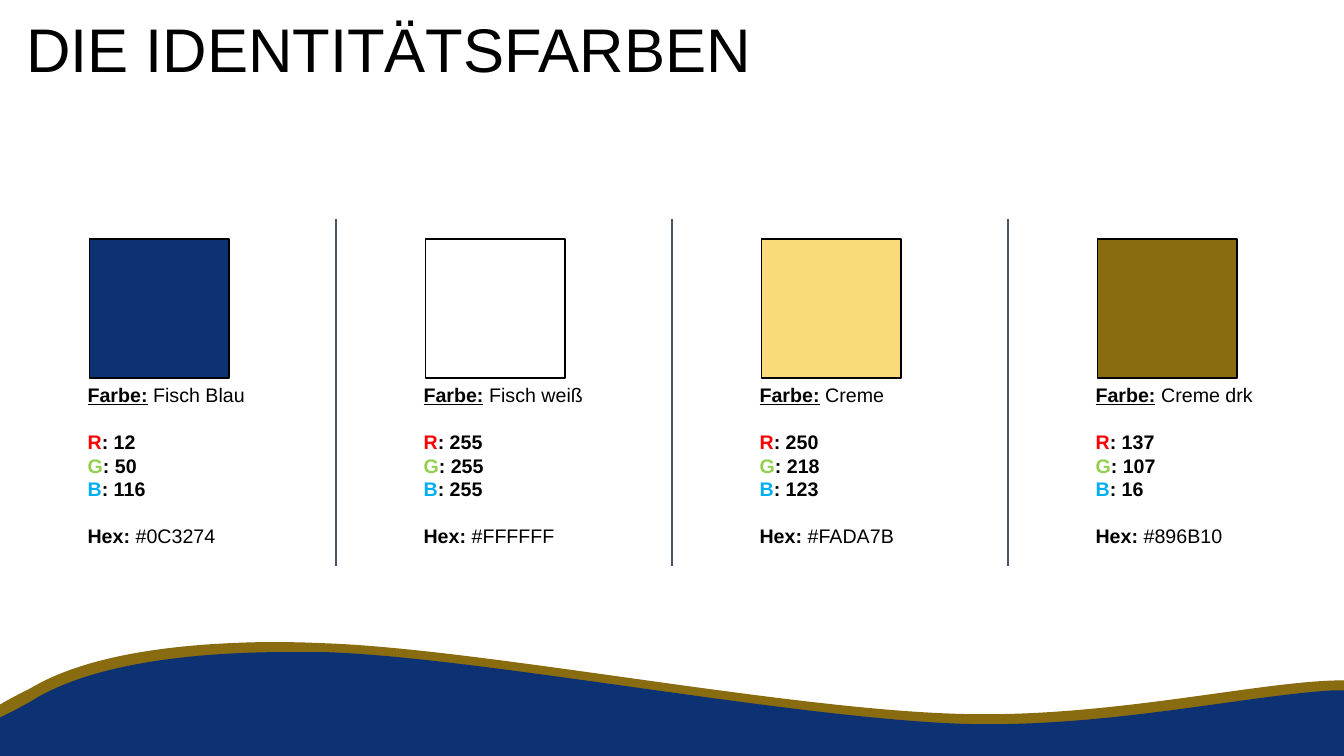
from dataclasses import dataclass

from lxml import etree
from pptx import Presentation
from pptx.dml.color import RGBColor
from pptx.enum.shapes import MSO_CONNECTOR, MSO_SHAPE
from pptx.enum.text import MSO_ANCHOR
from pptx.oxml.ns import qn
from pptx.util import Inches, Pt

RECTANGLE = MSO_SHAPE.RECTANGLE
STRAIGHT = MSO_CONNECTOR.STRAIGHT
TOP, MIDDLE = MSO_ANCHOR.TOP, MSO_ANCHOR.MIDDLE

SLIDE_W, SLIDE_H = 13.33, 7.5
COLUMN_W = SLIDE_W / 4


@dataclass(frozen=True)
class Theme:
    font: str = "Arial"
    title_size: int = 44
    body_size: int = 14
    ink: str = "000000"
    divider: str = "44546A"
    blue: str = "0C3274"
    gold: str = "896B10"
    channels: tuple[str, ...] = ("FF0000", "92D050", "00B0F0")


THEME = Theme()


@dataclass(frozen=True)
class Run:
    text: str
    color: str = THEME.ink
    bold: bool = False
    underline: bool = False


@dataclass(frozen=True)
class Paragraph:
    runs: list[Run]
    space_before: float = 0


@dataclass(frozen=True)
class Swatch:
    name: str
    color: str


@dataclass(frozen=True)
class Wave:
    color: str
    segments: list[tuple[float, ...]]


SWATCHES = [
    Swatch("Fisch Blau", THEME.blue),
    Swatch("Fisch weiß", "FFFFFF"),
    Swatch("Creme", "FADA7B"),
    Swatch("Creme drk", THEME.gold),
]

WAVES = [
    Wave(THEME.gold, [
        (2.62, 6.37),
        (2.79, 6.37, 2.97, 6.37, 3.16, 6.38),
        (4.68, 6.42, 7.69, 7.02, 9.44, 7.08),
        (10.96, 7.14, 12.5, 6.75, 13.32, 6.75),
        (SLIDE_W, 6.75), (SLIDE_W, SLIDE_H), (0, SLIDE_H), (0, 6.99), (0.07, 6.95),
        (0.16, 6.9, 0.24, 6.86, 0.3, 6.83),
        (0.72, 6.58, 1.42, 6.39, 2.62, 6.37),
    ]),
    Wave(THEME.blue, [
        (2.69, 6.47),
        (2.86, 6.47, 3.04, 6.47, 3.23, 6.47),
        (4.75, 6.52, 7.76, 7.11, 9.51, 7.18),
        (10.93, 7.23, 12.35, 6.9, 13.21, 6.85),
        (SLIDE_W, 6.85), (SLIDE_W, SLIDE_H), (0, SLIDE_H), (0, 7.12), (0.14, 7.05),
        (0.23, 7, 0.31, 6.96, 0.37, 6.92),
        (0.79, 6.68, 1.5, 6.49, 2.69, 6.47),
    ]),
]


def rgb(color: str) -> RGBColor:
    return RGBColor.from_string(color)


def bend(sp, segments: list[tuple[float, ...]]) -> None:
    lines = list(sp._element.iter(qn("a:lnTo")))
    for line, segment in zip(lines, segments):
        if len(segment) == 2:
            continue
        curve = etree.Element(qn("a:cubicBezTo"))
        for x, y in zip(segment[::2], segment[1::2]):
            etree.SubElement(curve, qn("a:pt"), x=str(Inches(x) - sp.left),
                             y=str(Inches(y) - sp.top))
        line.getparent().replace(line, curve)


def add_wave(shapes, wave: Wave) -> None:
    start, *rest = wave.segments
    builder = shapes.build_freeform(Inches(start[0]), Inches(start[1]))
    builder.add_line_segments([(Inches(seg[-2]), Inches(seg[-1])) for seg in rest], close=True)
    sp = builder.convert_to_shape()
    bend(sp, rest)
    sp.shadow.inherit = False
    sp.fill.solid()
    sp.fill.fore_color.rgb = rgb(wave.color)
    sp.line.fill.background()


def add_text(shapes, paragraphs: list[Paragraph], *, left: float, top: float,
             width: float, height: float, size: int,
             anchor: MSO_ANCHOR = TOP, line_spacing: float | None = None) -> None:
    box = shapes.add_textbox(Inches(left), Inches(top), Inches(width), Inches(height))
    tf = box.text_frame
    tf.word_wrap = True
    tf.vertical_anchor = anchor
    for i, paragraph in enumerate(paragraphs):
        p = tf.add_paragraph() if i else tf.paragraphs[0]
        p.line_spacing = line_spacing
        if paragraph.space_before:
            p.space_before = Pt(paragraph.space_before)
        for run in paragraph.runs:
            r = p.add_run()
            r.text = run.text
            r.font.name = THEME.font
            r.font.size = Pt(size)
            r.font.bold = run.bold
            r.font.underline = run.underline
            r.font.color.rgb = rgb(run.color)


def add_swatch(shapes, swatch: Swatch, offset: float) -> None:
    group = shapes.add_group_shape().shapes
    sp = group.add_shape(RECTANGLE, Inches(0.89 + offset), Inches(2.37),
                         Inches(1.38), Inches(1.38))
    sp.shadow.inherit = False
    sp.fill.solid()
    sp.fill.fore_color.rgb = rgb(swatch.color)
    sp.line.color.rgb = rgb(THEME.ink)
    sp.line.width = Pt(1)

    gap = 16.75
    name = Paragraph([Run("Farbe:", bold=True, underline=True),
                      Run(" ", bold=True), Run(swatch.name)])
    channels = [
        Paragraph([Run(letter, color, bold=True), Run(f": {value}", bold=True)],
                  gap if letter == "R" else 0)
        for letter, color, value in zip("RGB", THEME.channels, rgb(swatch.color))
    ]
    code = Paragraph([Run("Hex: ", bold=True), Run(f"#{swatch.color}")], gap)
    add_text(group, [name, *channels, code], left=0.77 + offset, top=3.75,
             width=1.79, height=1.75, size=THEME.body_size)


def add_divider(shapes, x: float) -> None:
    line = shapes.add_connector(STRAIGHT, Inches(x), Inches(2.17), Inches(x), Inches(5.62))
    line.line.color.rgb = rgb(THEME.divider)
    line.line.width = Pt(1.5)
    etree.SubElement(line._element.spPr, qn("a:effectLst"))


def main() -> None:
    prs = Presentation()
    prs.slide_width, prs.slide_height = Inches(SLIDE_W), Inches(SLIDE_H)
    s = prs.slides.add_slide(prs.slide_layouts[6])
    for wave in WAVES:
        add_wave(s.shapes, wave)
    add_text(s.shapes, [Paragraph([Run("DIE IDENTITÄTSFARBEN")])], left=0.16, top=0.13,
             width=7.47, height=0.78, size=THEME.title_size, anchor=MIDDLE, line_spacing=0.9)
    for column, swatch in enumerate(SWATCHES):
        add_swatch(s.shapes, swatch, column * COLUMN_W)
    for column in range(1, len(SWATCHES)):
        add_divider(s.shapes, column * COLUMN_W)
    prs.save("out.pptx")


if __name__ == "__main__":
    main()
